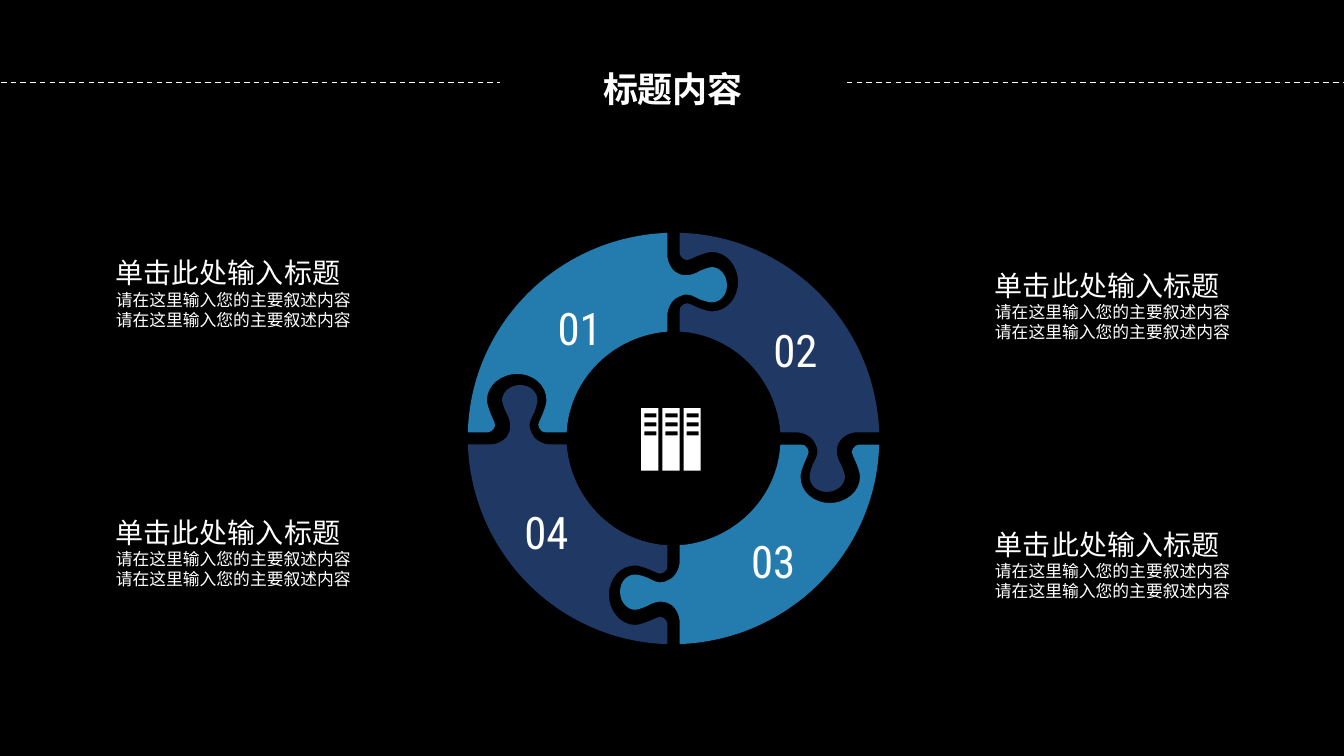
from pptx import Presentation
from pptx.dml.color import RGBColor
from pptx.enum.dml import MSO_LINE
from pptx.enum.shapes import MSO_CONNECTOR
from pptx.enum.text import PP_ALIGN
from pptx.oxml.ns import qn
from pptx.util import Inches, Pt

DASH, LINE = MSO_LINE.DASH, MSO_CONNECTOR.STRAIGHT
LEFT, MID = PP_ALIGN.LEFT, PP_ALIGN.CENTER
W, H = 13.33, 7.5
WHITE, BLACK, BLUE, NAVY = "FFFFFF", "000000", "247CAE", "203864"
HAN, LATIN = "Noto Sans CJK SC", "Roboto Condensed"

# Content
TITLE = "标题内容"
NOTE = [("单击此处输入标题", 20)] + [("请在这里输入您的主要叙述内容", 12)] * 2
NOTES = [(1.05, 2.49), (1.05, 5.06), (9.77, 2.61), (9.77, 5.18)]
PIECES = [("01", BLUE, 5.35, 2.93), ("02", NAVY, 7.49, 3.15),
          ("03", BLUE, 7.27, 5.25), ("04", NAVY, 5.02, 4.96)]
RULES = [(0.01, 4.96), (8.4, 13.35)]
RULE_Y = 0.82

# Upper left piece, measured from the ring's centre:
# two numbers are a line, six are a curve
HUB = (6.68, 4.35)
START = (0.38, -1.7)
EDGE = [
    (0.35, -1.7, 0.27, -1.67, 0.22, -1.64),
    (0.17, -1.62, 0.11, -1.61, 0.06, -1.63),
    (0, -1.65, -0.05, -1.72, -0.06, -1.8),
    (-0.06, -2.04),
    (-1.14, -2, -2.01, -1.14, -2.04, -0.06),
    (-1.84, -0.06),
    (-1.82, -0.07, -1.79, -0.07, -1.78, -0.1),
    (-1.76, -0.12, -1.77, -0.15, -1.78, -0.17),
    (-1.79, -0.19, -1.85, -0.32, -1.85, -0.38),
    (-1.85, -0.53, -1.71, -0.64, -1.55, -0.64),
    (-1.39, -0.64, -1.26, -0.53, -1.26, -0.38),
    (-1.26, -0.32, -1.32, -0.19, -1.33, -0.17),
    (-1.34, -0.15, -1.35, -0.12, -1.33, -0.1),
    (-1.32, -0.07, -1.29, -0.06, -1.26, -0.06),
    (-1.06, -0.06),
    (-1.03, -0.6, -0.59, -1.02, -0.06, -1.06),
    (-0.06, -1.24),
    (-0.05, -1.32, 0, -1.39, 0.06, -1.41),
    (0.11, -1.44, 0.17, -1.43, 0.22, -1.4),
    (0.27, -1.37, 0.35, -1.35, 0.38, -1.35),
    (0.46, -1.35, 0.53, -1.42, 0.53, -1.52),
    (0.53, -1.62, 0.46, -1.7, 0.38, -1.7),
]


def color(text):
    return RGBColor.from_string(text)


def outline(shapes, loops, fill):
    pen = None
    for loop in loops:
        spots = [(Inches(x), Inches(y)) for x, y in loop]
        if pen is None:
            pen = shapes.build_freeform(*spots[0])
        else:
            pen.move_to(*spots[0])
        pen.add_line_segments(spots[1:], close=True)
    shape = pen.convert_to_shape()
    shape.shadow.inherit = False
    shape.fill.solid()
    shape.fill.fore_color.rgb = color(fill)
    shape.line.fill.background()
    return shape


def bend(shape):
    # Join each curve's three line steps into one Bezier segment
    steps = iter(list(shape._element.iter(qn("a:lnTo"))))
    for part in EDGE:
        first = next(steps)
        if len(part) == 6:
            curve = first.makeelement(qn("a:cubicBezTo"), {})
            first.addprevious(curve)
            for step in (first, next(steps), next(steps)):
                curve.append(step[0])
                step.getparent().remove(step)


def label(shapes, box, lines, face, align=LEFT, bold=False, wrap=True):
    frame = shapes.add_textbox(*map(Inches, box)).text_frame
    frame.word_wrap = wrap
    for i, (text, size) in enumerate(lines):
        para = frame.add_paragraph() if i else frame.paragraphs[0]
        para.text, para.alignment = text, align
        font = para.font
        font.size, font.bold, font.name = Pt(size), bold, face
        font.color.rgb = color(WHITE)
        # East Asian face for the Chinese text
        props = para.runs[0].font._element
        props.append(props.makeelement(qn("a:ea"), {"typeface": face}))


def rect(x, y, w, h):
    return [(x, y), (x + w, y), (x + w, y + h), (x, y + h)]


deck = Presentation()
deck.slide_width, deck.slide_height = Inches(W), Inches(H)
slide = deck.slides.add_slide(deck.slide_layouts[6])
slide.background.fill.solid()
slide.background.fill.fore_color.rgb = color(BLACK)
shapes = slide.shapes

# Ring: each piece is a quarter turn from the one before
points = [START] + [pair for part in EDGE
                    for pair in zip(part[::2], part[1::2])]
for number, fill, x, y in PIECES:
    group = shapes.add_group_shape().shapes
    bend(outline(group, [[(HUB[0] + a, HUB[1] + b) for a, b in points]], fill))
    label(group, (x, y, 0.8, 0.53), [(number, 32)], LATIN, MID)
    points = [(-b, a) for a, b in points]

# Binders with three slots each
loops = []
for col in range(3):
    x, y = 6.36 + 0.21 * col, 4.05
    loops.append(rect(x, y, 0.17, 0.62))
    loops += [rect(x + 0.03, y + 0.05 + 0.09 * row, 0.12, 0.04)[::-1]
              for row in range(3)]
outline(shapes, loops, WHITE)

# Notes and title
for x, y in NOTES:
    label(shapes, (x, y, 2.56, 1.38), NOTE, HAN, wrap=False)
label(shapes, (5.81, 0.62, 1.73, 0.52), [(TITLE, 25)], HAN, MID, bold=True)

# Dashed rules beside the title
for x1, x2 in RULES:
    rule = shapes.add_connector(LINE, *map(Inches, (x1, RULE_Y, x2, RULE_Y)))
    rule.line.color.rgb = color(WHITE)
    rule.line.width, rule.line.dash_style = Pt(1), DASH
    props = rule._element.spPr
    props.append(props.makeelement(qn("a:effectLst"), {}))

deck.save("out.pptx")
